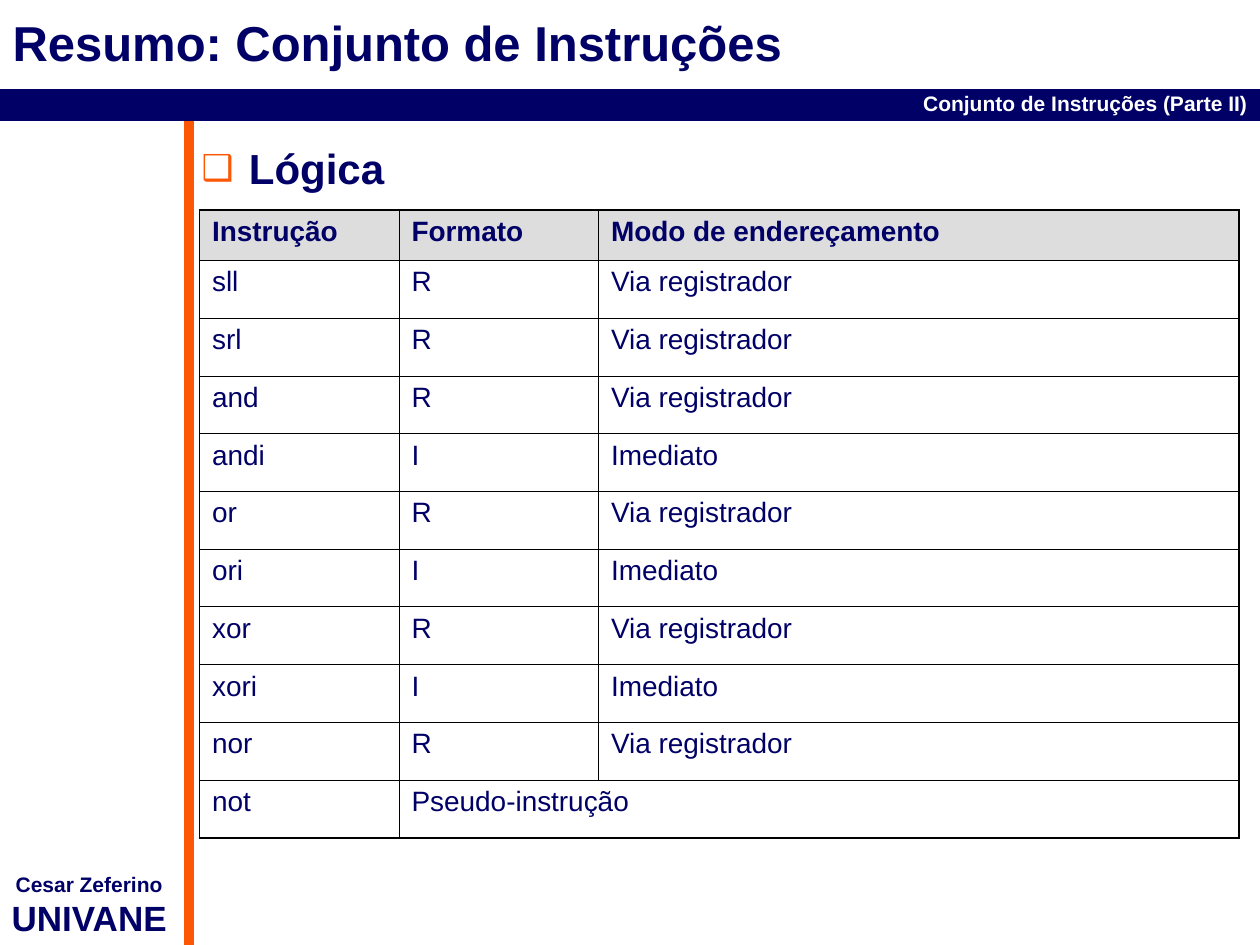
from pptx import Presentation
from pptx.dml.color import RGBColor
from pptx.enum.shapes import MSO_CONNECTOR
from pptx.enum.text import MSO_ANCHOR, MSO_AUTO_SIZE, PP_ALIGN
from pptx.oxml.ns import qn
from pptx.util import Pt
from lxml.etree import SubElement

HUES = {"navy": "000066", "orange": "FB5705", "white": "FFFFFF",
        "gray": "DDDDDD", "black": "000000"}
MODES = {"R": "Via registrador", "I": "Imediato"}
FORMS = {"sll": "R", "srl": "R", "and": "R", "andi": "I", "or": "R",
         "ori": "I", "xor": "R", "xori": "I", "nor": "R"}
THIN, THICK = 0.45, 1.08


def write(par, text, size=16, hue="navy", bold=True, align=PP_ALIGN.LEFT, before=0):
    par.alignment = align
    par.space_before = Pt(before)
    run = par.add_run()
    run.text = text
    font = run.font
    font.name, font.size, font.bold = "Arial", Pt(size), bold
    font.color.rgb = RGBColor.from_string(HUES[hue])


def edge(cell, sides):
    """Draw the cell borders; sides maps L, R, T, B to a width in points."""
    props = cell._tc.get_or_add_tcPr()
    for side, width in sides.items():
        line = SubElement(props, qn(f"a:ln{side}"), w=str(Pt(width)))
        fill = SubElement(line, qn("a:solidFill"))
        SubElement(fill, qn("a:srgbClr"), val=HUES["black"])


class Deck:
    def __init__(self, width, height):
        self.file = Presentation()
        self.file.slide_width, self.file.slide_height = Pt(width), Pt(height)
        self.slide = self.file.slides.add_slide(self.file.slide_layouts[1])

    def place(self, shape, left, top, width, height):
        shape.left, shape.top = Pt(left), Pt(top)
        shape.width, shape.height = Pt(width), Pt(height)
        frame = shape.text_frame
        frame.word_wrap = True
        frame.auto_size = MSO_AUTO_SIZE.NONE
        return frame

    def title(self, text, *box):
        frame = self.place(self.slide.shapes.title, *box)
        frame.vertical_anchor = MSO_ANCHOR.MIDDLE
        write(frame.paragraphs[0], text, size=28)

    def topic(self, text, *box):
        frame = self.place(self.slide.placeholders[1], *box)
        frame.vertical_anchor = MSO_ANCHOR.TOP
        par = frame.paragraphs[0]
        write(par, text, size=24, before=24)
        props = par._p.get_or_add_pPr()
        props.set("marL", str(Pt(27)))
        props.set("indent", str(Pt(-27)))
        tint = SubElement(props, qn("a:buClr"))
        SubElement(tint, qn("a:srgbClr"), val=HUES["orange"])
        SubElement(props, qn("a:buSzPct"), val="85000")
        SubElement(props, qn("a:buChar"), char="❑")

    def line(self, x1, y1, x2, y2, hue, width):
        rule = self.slide.shapes.add_connector(
            MSO_CONNECTOR.STRAIGHT, Pt(x1), Pt(y1), Pt(x2), Pt(y2))
        rule.line.color.rgb = RGBColor.from_string(HUES[hue])
        rule.line.width = Pt(width)
        SubElement(rule._element.spPr, qn("a:effectLst"))

    def label(self, rows, box, inset=7.2, **style):
        """Add a text box from (text, size) rows."""
        shape = self.slide.shapes.add_textbox(0, 0, 0, 0)
        frame = self.place(shape, *box)
        frame.margin_left = frame.margin_right = Pt(inset)
        for i, (text, size) in enumerate(rows):
            par = frame.add_paragraph() if i else frame.paragraphs[0]
            write(par, text, size=size, **style)

    def table(self, rows, left, top, widths, heights):
        """Fill a grid; a short row stretches its last cell to the right."""
        last, end = len(rows) - 1, len(widths) - 1
        grid = self.slide.shapes.add_table(
            len(rows), len(widths), Pt(left), Pt(top),
            Pt(sum(widths)), Pt(sum(heights))).table
        for col, width in zip(grid.columns, widths):
            col.width = Pt(width)
        for r, texts in enumerate(rows):
            grid.rows[r].height = Pt(heights[r])
            if len(texts) <= end:
                grid.cell(r, len(texts) - 1).merge(grid.cell(r, end))
            for c in range(end + 1):
                cell = grid.cell(r, c)
                right = c == end or cell.is_merge_origin
                edge(cell, {"L": THIN if c else THICK,
                            "R": THICK if right else THIN,
                            "T": THIN if r else THICK,
                            "B": THICK if r == last else THIN})
                if r:
                    cell.fill.background()
                else:
                    cell.fill.solid()
                    cell.fill.fore_color.rgb = RGBColor.from_string(HUES["gray"])
                if c < len(texts):
                    write(cell.text_frame.paragraphs[0], texts[c],
                          bold=r == 0, before=16)


def main():
    deck = Deck(720, 540)
    deck.title("Resumo: Conjunto de Instruções", 0, 0, 720, 48)
    deck.topic("Lógica", 108, 78, 612, 450)
    deck.line(108, 66, 108, 540, "orange", 6)
    deck.line(0, 60, 720, 60, "navy", 18)
    deck.label([("Conjunto de Instruções (Parte II)", 12)], (0, 48, 720, 18),
               hue="white", align=PP_ALIGN.RIGHT)
    deck.label([("Cesar Zeferino", 12), ("UNIVANE", 20)], (0, 494.5, 102, 46),
               inset=0, align=PP_ALIGN.CENTER)
    rows = [("Instrução", "Formato", "Modo de endereçamento")]
    rows += [(name, form, MODES[form]) for name, form in FORMS.items()]
    rows.append(("not", "Pseudo-instrução"))
    deck.table(rows, 114, 120, [114, 114, 366], [28.8] + [33] * (len(rows) - 1))
    deck.file.save("out.pptx")


if __name__ == "__main__":
    main()
